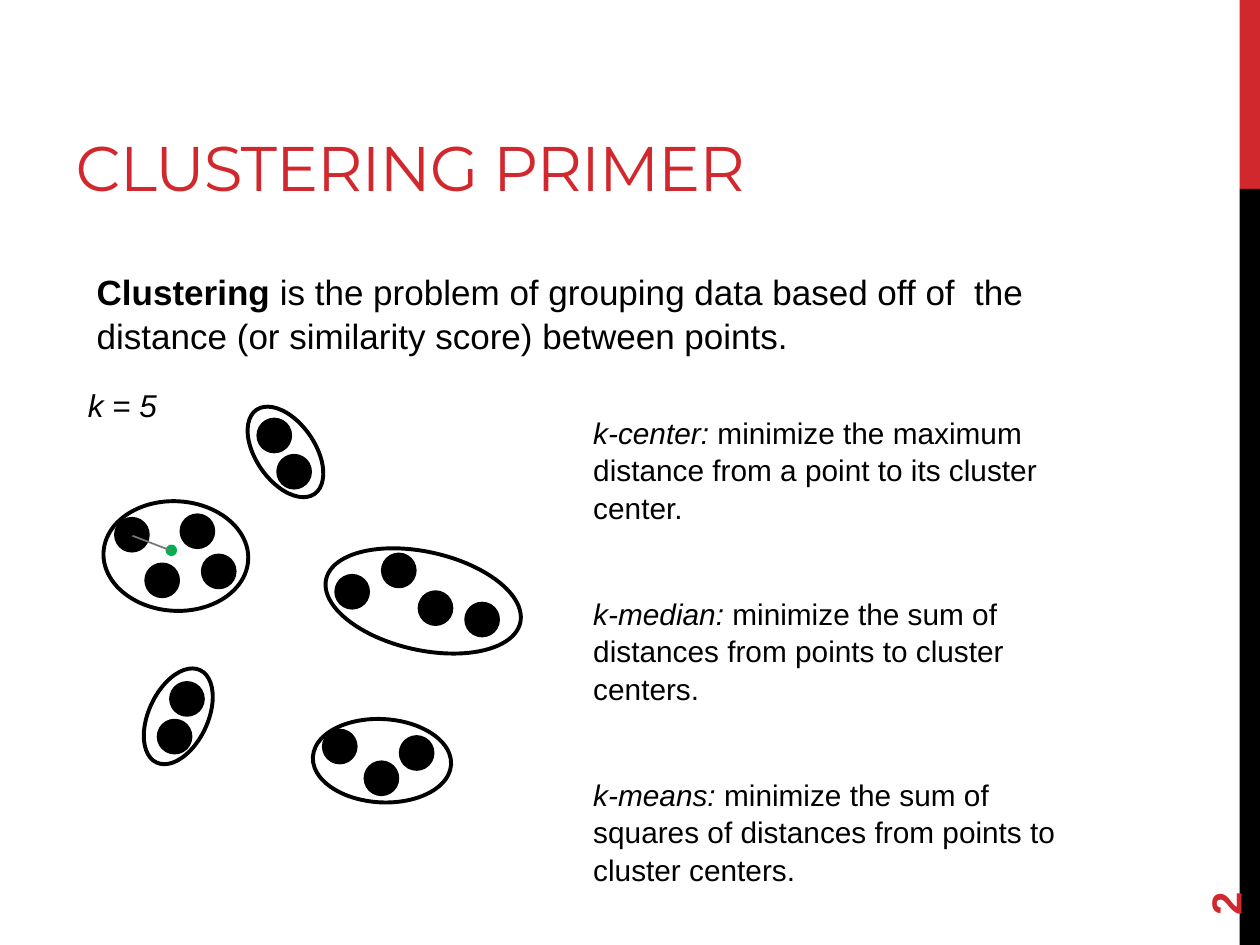
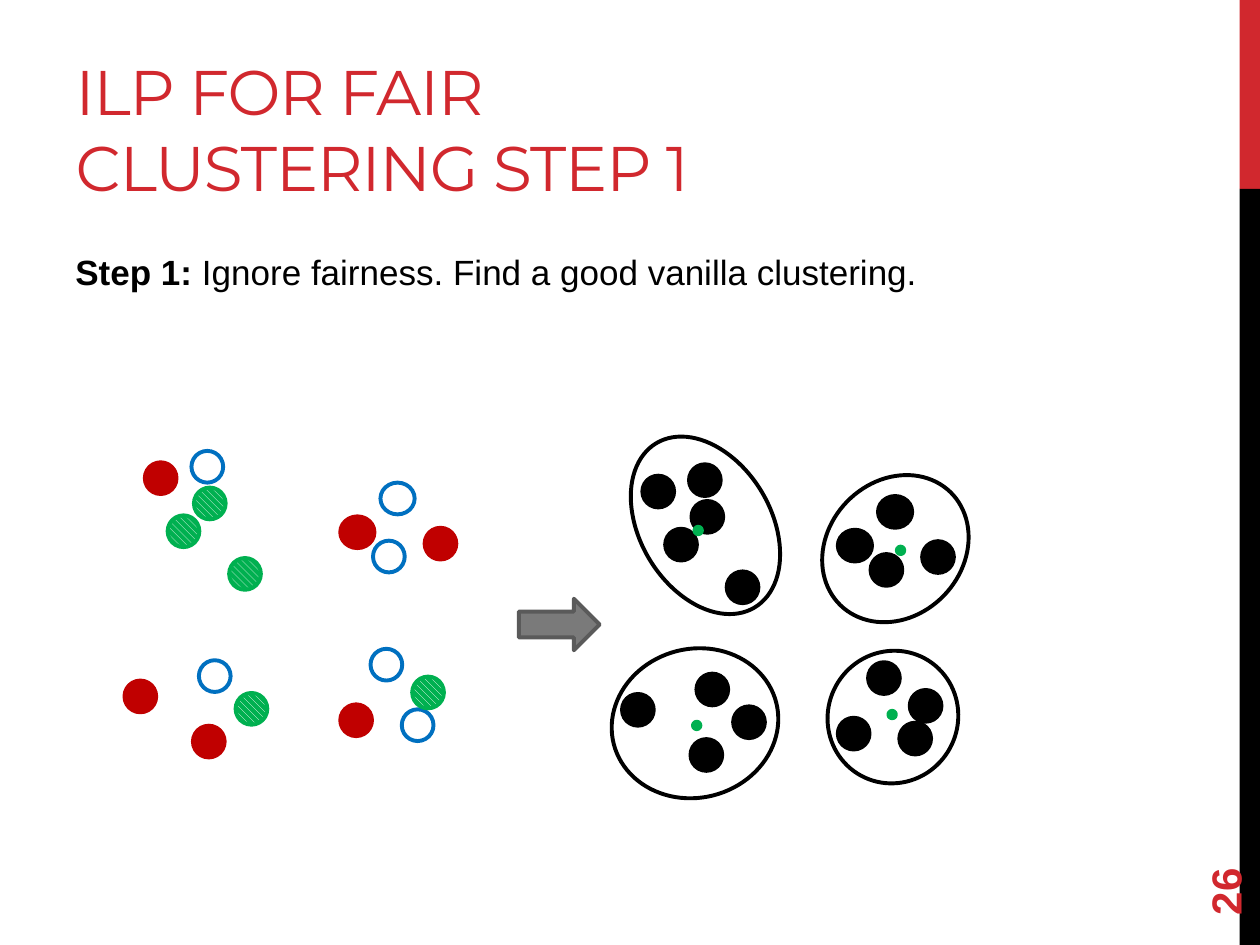
from typing import Any, NamedTuple

from lxml import etree
from pptx import Presentation
from pptx.dml.color import RGBColor
from pptx.enum.dml import MSO_PATTERN
from pptx.enum.shapes import MSO_CONNECTOR, MSO_SHAPE
from pptx.enum.text import MSO_ANCHOR, MSO_AUTO_SIZE, PP_ALIGN
from pptx.oxml.ns import qn
from pptx.util import Cm, Pt

RECTANGLE = MSO_SHAPE.RECTANGLE
OVAL = MSO_SHAPE.OVAL
RIGHT_ARROW = MSO_SHAPE.RIGHT_ARROW
STRAIGHT = MSO_CONNECTOR.STRAIGHT
HATCH = MSO_PATTERN.WIDE_DOWNWARD_DIAGONAL
LEFT = PP_ALIGN.LEFT
TOP, MIDDLE, BOTTOM = MSO_ANCHOR.TOP, MSO_ANCHOR.MIDDLE, MSO_ANCHOR.BOTTOM
NO_AUTOFIT = MSO_AUTO_SIZE.NONE

COLORS = {
    "accent": "D1282E",
    "black": "000000",
    "white": "FFFFFF",
    "red": "C00000",
    "blue": "0070C0",
    "green": "00B050",
    "radius": "777777",
    "arrow": "7A7A7A",
    "arrow_edge": "5A5A5A",
}
TITLE_ONLY = 5
DOT_SIZE, WIDE_DOT, CENTER_SIZE = 0.64, 0.69, 0.15
OUTLINE = Pt(2.25)
BODY_SPACING = 1.05


class Box(NamedTuple):
    left: float
    top: float
    width: float
    height: float
    rotation: float = 0


class Dot(NamedTuple):
    left: float
    top: float
    width: float = DOT_SIZE
    height: float = DOT_SIZE


class DotStyle(NamedTuple):
    fill: str
    line: str
    hatched: bool = False


class TextPart(NamedTuple):
    text: str
    format: dict[str, Any] = {}


BLACK_DOT = DotStyle("black", "black")
RED_DOT = DotStyle("red", "red")
BLUE_DOT = DotStyle("white", "blue")
GREEN_DOT = DotStyle("green", "green", True)
CENTER_DOT = DotStyle("green", "green")

TITLE_BOX = Box(1.27, 0.43, 16.08, 3.81)
NUMBER_BOX = Box(22.86, 16.36, 3.66, 1.02, 270)
BANDS = {"accent": Box(24.99, 0, 0.41, 3.81), "black": Box(24.99, 3.81, 0.41, 15.24)}

PRIMER_DOTS = [
    Dot(2.34, 10.46), Dot(2.95, 11.38), Dot(3.66, 10.39), Dot(4.09, 11.2),
    Dot(6.78, 11.61), Dot(7.72, 11.18), Dot(8.46, 11.94), Dot(9.4, 12.17),
    Dot(6.53, 14.73), Dot(7.37, 15.37), Dot(8.08, 14.86),
    Dot(3.2, 14.53), Dot(3.45, 13.77),
    Dot(5.21, 8.46), Dot(5.61, 9.19),
]
PRIMER_CLUSTERS = [
    Box(2.44, 9.75, 2.21, 2.92, 93.2),
    Box(7.54, 10.11, 1.98, 4.01, 102.6),
    Box(6.86, 13.94, 1.68, 2.79, 93.1),
    Box(3, 13.41, 1.19, 2.06, 25.3),
    Box(5.16, 8.08, 1.19, 2.06, 325.4),
]
PRIMER_CENTERS = [(3.38, 11.02)]
OBJECTIVES = {
    "k-center:": " minimize the maximum distance from a point to its cluster center.",
    "k-median:": " minimize the sum of distances from points to cluster centers.",
    "k-means:": " minimize the sum of squares of distances from points to cluster centers.",
}

FAIR_DOTS = {
    RED_DOT: [
        Dot(2.92, 9.32), Dot(2.51, 13.72), Dot(3.89, 14.63),
        Dot(6.86, 14.2), Dot(6.86, 10.41, WIDE_DOT), Dot(8.56, 10.64),
    ],
    BLUE_DOT: [
        Dot(3.86, 9.09), Dot(7.67, 9.73, WIDE_DOT), Dot(7.52, 10.9),
        Dot(4.01, 13.31), Dot(7.47, 13.08), Dot(8.1, 14.3),
    ],
    GREEN_DOT: [
        Dot(4.75, 13.97), Dot(3.91, 9.83), Dot(3.38, 10.39),
        Dot(4.62, 11.25), Dot(8.31, 13.64),
    ],
}
VANILLA_SHIFT = (10.03, 0.27)
VANILLA_CLUSTERS = [
    Box(12.9, 8.66, 2.64, 3.86, 149.1),
    Box(12.32, 13.08, 3.38, 3, 165.7),
    Box(16.69, 13.11, 2.62, 2.69, 208.6),
    Box(16.46, 9.7, 3.18, 2.72, 134.1),
]
VANILLA_CENTERS = [(13.97, 14.55), (14, 10.62), (18.08, 11.02), (17.91, 14.33)]


def color(name: str) -> RGBColor:
    return RGBColor.from_string(COLORS[name])


def apply_format(target: Any, values: dict[str, Any]) -> None:
    for name, value in values.items():
        setattr(target, name, value)


def add_shape(slide: Any, kind: Any, box: Box | Dot, fill: str = "", line: str = "") -> Any:
    shape = slide.shapes.add_shape(kind, *(Cm(length) for length in box[:4]))
    shape.shadow.inherit = False
    if fill:
        shape.fill.solid()
        shape.fill.fore_color.rgb = color(fill)
    else:
        shape.fill.background()
    if line:
        shape.line.color.rgb = color(line)
        shape.line.width = OUTLINE
    else:
        shape.line.fill.background()
    return shape


def add_dots(slide: Any, dots: list[Dot], style: DotStyle) -> None:
    for dot in dots:
        shape = add_shape(slide, OVAL, dot, style.fill, style.line)
        if style.hatched:
            shape.fill.patterned()
            shape.fill.pattern = HATCH
            shape.fill.fore_color.rgb = color("white")
            shape.fill.back_color.rgb = color(style.fill)


def add_clusters(slide: Any, clusters: list[Box]) -> None:
    for cluster in clusters:
        add_shape(slide, OVAL, cluster, line="black").rotation = cluster.rotation


def add_centers(slide: Any, centers: list[tuple[float, float]]) -> None:
    dots = [Dot(left, top, CENTER_SIZE, CENTER_SIZE) for left, top in centers]
    add_dots(slide, dots, CENTER_DOT)


def fill_text(shape: Any, paragraphs: list[list[TextPart]], font: dict[str, Any],
              paragraph_format: dict[str, Any], anchor: Any = TOP, color_name: str = "black") -> None:
    frame = shape.text_frame
    apply_format(frame, {"word_wrap": True, "auto_size": NO_AUTOFIT, "vertical_anchor": anchor})
    for index, parts in enumerate(paragraphs):
        paragraph = frame.add_paragraph() if index else frame.paragraphs[0]
        apply_format(paragraph, {"alignment": LEFT, **paragraph_format})
        for part in parts:
            run = paragraph.add_run()
            run.text = part.text
            apply_format(run.font, {"name": "Arial", **font, **part.format})
            run.font.color.rgb = color(color_name)


def add_text(slide: Any, box: Box, paragraphs: list[list[TextPart]], size: float,
             paragraph_format: dict[str, Any], anchor: Any = TOP, color_name: str = "black") -> None:
    text_box = slide.shapes.add_textbox(*(Cm(length) for length in box[:4]))
    text_box.rotation = box.rotation
    fill_text(text_box, paragraphs, {"size": Pt(size)}, paragraph_format, anchor, color_name)


def add_titled_slide(presentation: Any, title: str, number: str) -> Any:
    slide = presentation.slides.add_slide(presentation.slide_layouts[TITLE_ONLY])
    for name, band in BANDS.items():
        add_shape(slide, RECTANGLE, band, name)
    placeholder = slide.shapes.title
    for name, length in TITLE_BOX._asdict().items():
        if name != "rotation":
            setattr(placeholder, name, Cm(length))
    fill_text(placeholder, [[TextPart(title)]], {"name": "Montserrat", "size": Pt(36)},
              {"space_before": Pt(0)}, BOTTOM, "accent")
    for run in placeholder.text_frame.paragraphs[0].runs:
        run.font._element.set("spc", "-60")
    add_text(slide, NUMBER_BOX, [[TextPart(number, {"bold": True})]], 24, {}, MIDDLE, "accent")
    return slide


def add_radius(slide: Any) -> None:
    ends = (Cm(length) for length in (2.67, 10.8, 3.45, 11.1))
    connector = slide.shapes.add_connector(STRAIGHT, *ends)
    connector.line.color.rgb = color("radius")
    connector.line.width = Pt(1)
    etree.SubElement(connector._element.spPr, qn("a:effectLst"))


def build_primer(presentation: Any) -> None:
    slide = add_titled_slide(presentation, "CLUSTERING PRIMER", "2")
    objectives = [
        [TextPart(name, {"italic": True}), TextPart(goal)] for name, goal in OBJECTIVES.items()
    ]
    add_text(slide, Box(11.71, 8.2, 10.19, 8.81), objectives, 17,
             {"line_spacing": BODY_SPACING, "space_after": Pt(39)})
    add_dots(slide, PRIMER_DOTS, BLACK_DOT)
    add_clusters(slide, PRIMER_CLUSTERS)
    add_text(slide, Box(1.52, 7.65, 2.62, 1.02), [[TextPart("k = 5", {"italic": True})]], 18, {})
    definition = [
        TextPart("Clustering ", {"bold": True}),
        TextPart("is the problem of grouping data based off of  the distance "
                 "(or similarity score) between points."),
    ]
    add_text(slide, Box(1.7, 5.28, 21.16, 2.39), [definition], 20, {"line_spacing": BODY_SPACING})
    add_centers(slide, PRIMER_CENTERS)
    add_radius(slide)


def build_fair_step(presentation: Any) -> None:
    slide = add_titled_slide(presentation, "ILP FOR FAIR CLUSTERING STEP 1", "26")
    step = [
        TextPart("Step 1:", {"bold": True}),
        TextPart(" Ignore fairness. Find a good vanilla clustering."),
    ]
    add_text(slide, Box(1.27, 4.88, 21.16, 1.91), [step], 20, {"line_spacing": BODY_SPACING})
    shift_x, shift_y = VANILLA_SHIFT
    for style, dots in FAIR_DOTS.items():
        add_dots(slide, dots, style)
        shifted = [dot._replace(left=dot.left + shift_x, top=dot.top + shift_y) for dot in dots]
        add_dots(slide, shifted, BLACK_DOT)
    add_clusters(slide, VANILLA_CLUSTERS)
    add_shape(slide, RIGHT_ARROW, Box(10.46, 12.07, 1.63, 1.04), "arrow", "arrow_edge")
    add_centers(slide, VANILLA_CENTERS)


def main() -> None:
    presentation = Presentation()
    presentation.slide_width = Cm(25.4)
    presentation.slide_height = Cm(19.05)
    build_primer(presentation)
    build_fair_step(presentation)
    presentation.save("out.pptx")


if __name__ == "__main__":
    main()
